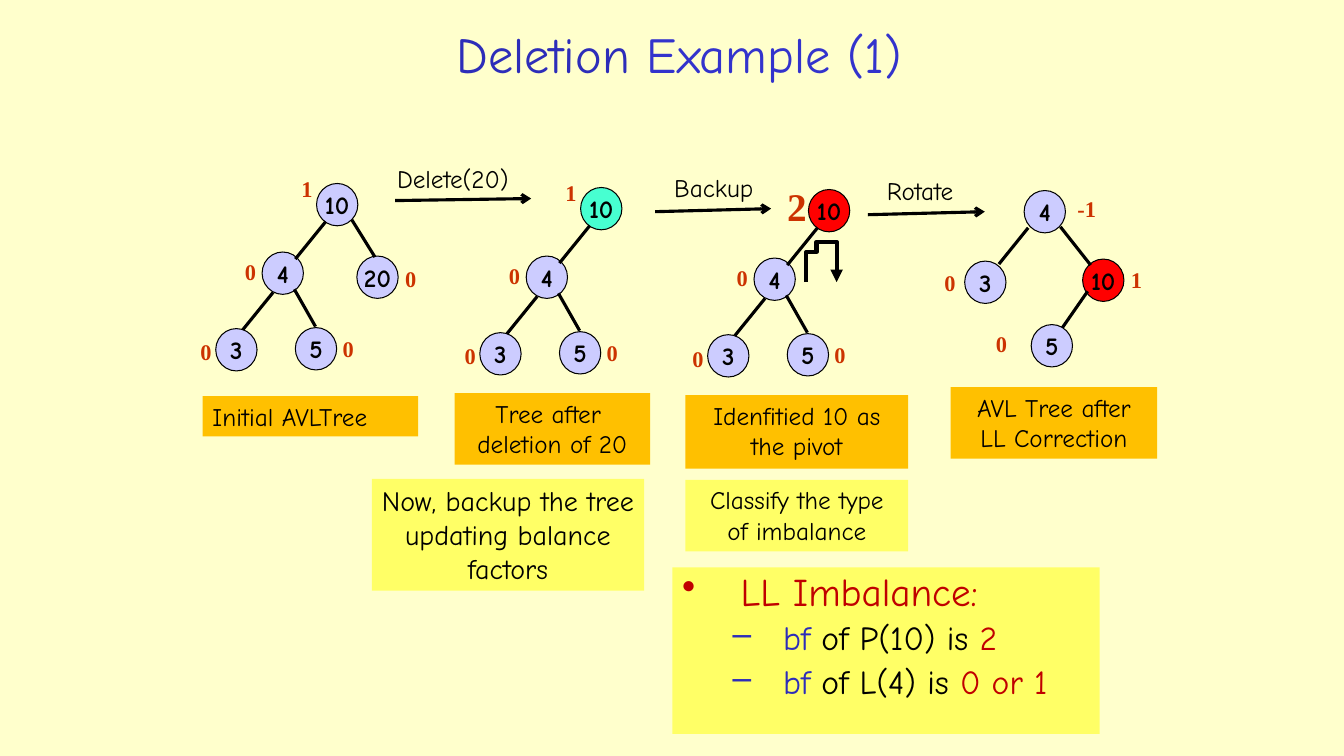
import dataclasses
import typing

import lxml.etree
import pptx
import pptx.dml.color
import pptx.enum.shapes
import pptx.enum.text
import pptx.oxml.ns
import pptx.util

Point = tuple[float, float]
Box = tuple[float, float, float, float]
Run = tuple[str, str]
SHAPE = pptx.enum.shapes.MSO_SHAPE
ALIGN = pptx.enum.text.PP_ALIGN
ANCHOR = pptx.enum.text.MSO_ANCHOR
CELL = 0.1
NODE = (4.1, 4.2)


@dataclasses.dataclass(frozen=True)
class Theme:
    back: str = "FFFFCC"
    ink: str = "000000"
    blue: str = "2D2DB9"
    title: str = "3333CC"
    red: str = "C00000"
    mark: str = "CC3300"
    node: str = "CCCCFF"
    fresh: str = "47FFD1"
    pivot: str = "FF0000"
    gold: str = "FFC000"
    lemon: str = "FFFF66"
    font: str = "Comic Neue"
    serif: str = "Times New Roman"
    head: int = 36
    large: int = 28
    mid: int = 24
    note: int = 20
    body: int = 18
    small: int = 16


THEME = Theme()


class Node(typing.NamedTuple):
    text: str
    at: Point
    fill: str = THEME.node


class Mark(typing.NamedTuple):
    text: str
    at: Point
    size: int = THEME.small


class Edge(typing.NamedTuple):
    start: Point
    end: Point


@dataclasses.dataclass(frozen=True)
class Tree:
    root: Point
    nodes: list[Node]
    edges: list[Edge]
    marks: list[Mark]


@dataclasses.dataclass(frozen=True)
class Step:
    text: str
    box: Box
    line: Edge


@dataclasses.dataclass(frozen=True)
class Note:
    lines: list[str]
    box: Box
    fill: str
    size: int = THEME.body
    align: ALIGN = ALIGN.CENTER


LEFT_NODES = [Node("4", (-5.4, 6.8)), Node("3", (-10, 14.4)), Node("5", (-2.1, 14.3))]
LEFT_EDGES = [Edge((0.9, 3.8), (-2.1, 7.5)), Edge((-4.3, 10.8), (-7.3, 14.5)),
              Edge((-2.2, 10.5), (-0.1, 14.2))]
LEFT_MARKS = [Mark("0", (-8.1, 6.9)), Mark("0", (-12.5, 14.9)), Mark("0", (1.6, 14.6))]
ROOT_MARK = Mark("1", (-2.5, -1.3))

TREES = [
    Tree((31.4, 18.2), [Node("10", (0, 0)), Node("20", (4, 7.2)), *LEFT_NODES],
         [Edge((3.5, 3.6), (5.8, 7.3)), *LEFT_EDGES],
         [ROOT_MARK, Mark("0", (7.8, 7.6)), *LEFT_MARKS]),
    Tree((57.6, 18.6), [Node("10", (0, 0), THEME.fresh), *LEFT_NODES],
         LEFT_EDGES, [ROOT_MARK, *LEFT_MARKS]),
    Tree((80.2, 18.8), [Node("10", (0, 0), THEME.pivot), *LEFT_NODES],
         LEFT_EDGES, [Mark("2", (-3.1, -1.2), THEME.large), *LEFT_MARKS]),
    Tree((101.6, 18.9),
         [Node("4", (0, 0)), Node("10", (5.8, 6.8), THEME.pivot),
          Node("5", (0.7, 13.3)), Node("3", (-5.9, 7))],
         [Edge((0.4, 3.7), (-2.5, 7.3)), Edge((3.6, 3.6), (6.6, 7.4)),
          Edge((6.3, 10), (3.8, 13.6))],
         [Mark("-1", (4.3, 0)), Mark("1", (9.6, 7)), Mark("0", (-3.8, 13.4)),
          Mark("0", (-8.9, 7.3))]),
]
STEPS = [
    Step("Delete(20)", (38.4, 15.7, 14.8, 4), Edge((39.2, 19.9), (52.7, 19.7))),
    Step("Backup", (65.9, 16.6, 10.4, 4), Edge((65, 21), (76.5, 20.7))),
    Step("Rotate", (87, 16.9, 10.2, 4), Edge((86.1, 21.3), (97.7, 21))),
]
NOTES = [
    Note(["Initial AVLTree"], (20.1, 39.3, 21.4, 4), THEME.gold, align=ALIGN.LEFT),
    Note(["Tree after ", "deletion of 20"], (45.1, 39, 19.4, 7.1), THEME.gold),
    Note(["Idenfitied 10 as the pivot"], (68, 39.2, 22.1, 7.3), THEME.gold),
    Note(["AVL Tree after", "LL Correction"], (94.3, 38.4, 20.5, 7.1), THEME.gold),
    Note(["Classify the type", "of imbalance"], (68, 47.6, 22.1, 7.1), THEME.lemon),
    Note(["Now, backup the tree updating balance factors"],
         (36.9, 47.5, 27, 11.1), THEME.lemon, THEME.note),
]
POINTS: list[tuple[list[Run], int, str, float, float]] = [
    ([("LL Imbalance:", THEME.red)], THEME.large, "•", 0.58, 0.58),
    ([("bf", THEME.blue), (" of P(10) is ", THEME.ink), ("2", THEME.red)], THEME.mid, "–", 1, 0.5),
    ([("bf", THEME.blue), (" of L(4) is ", THEME.ink), ("0 or 1", THEME.red)], THEME.mid, "–", 1, 0.5),
]
TURN = [(80.1, 28.3), (79.9, 27.3), (79.7, 26.3), (80.1, 25.6), (80.5, 24.9),
        (81.8, 24.1), (82.3, 24.1), (82.9, 24.1), (83.3, 25.1), (83.4, 25.8),
        (83.6, 26.4), (83.4, 27.2), (83.3, 28)]


def grid(*cells: float) -> list[int]:
    return [pptx.util.Inches(cell * CELL) for cell in cells]


def tint(code: str) -> pptx.dml.color.RGBColor:
    return pptx.dml.color.RGBColor.from_string(code)


def shift(base: Point, step: Point) -> Point:
    return base[0] + step[0], base[1] + step[1]


def add_runs(para: typing.Any, runs: list[Run], size: int,
             font: str = THEME.font, bold: bool = False) -> None:
    for text, code in runs:
        run = para.add_run()
        run.text = text
        run.font.size = pptx.util.Pt(size)
        run.font.name = font
        run.font.bold = bold
        run.font.color.rgb = tint(code)


def add_form(slide: typing.Any, kind: SHAPE, box: Box, fill: str) -> typing.Any:
    form = slide.shapes.add_shape(kind, *grid(*box))
    form.shadow.inherit = False
    form.fill.solid()
    form.fill.fore_color.rgb = tint(fill)
    form.line.fill.background()
    form.text_frame.word_wrap = True
    form.text_frame.vertical_anchor = ANCHOR.TOP
    return form


def add_text(slide: typing.Any, box: Box, runs: list[Run], size: int) -> typing.Any:
    frame = slide.shapes.add_textbox(*grid(*box)).text_frame
    frame.word_wrap = True
    add_runs(frame.paragraphs[0], runs, size)
    return frame


def set_line(form: typing.Any, width: float, tip: str = "") -> None:
    form.line.color.rgb = tint(THEME.ink)
    form.line.width = pptx.util.Pt(width)
    if tip:
        line = form.element.spPr.find(pptx.oxml.ns.qn("a:ln"))
        lxml.etree.SubElement(line, pptx.oxml.ns.qn("a:tailEnd"), type=tip)


def add_edge(slide: typing.Any, start: Point, end: Point, tip: str = "") -> None:
    kind = pptx.enum.shapes.MSO_CONNECTOR.STRAIGHT
    edge = slide.shapes.add_connector(kind, *grid(*start, *end))
    set_line(edge, 2.25, tip)
    lxml.etree.SubElement(edge.element.spPr, pptx.oxml.ns.qn("a:effectLst"))


def add_tree(slide: typing.Any, tree: Tree) -> None:
    for node in tree.nodes:
        form = add_form(slide, SHAPE.OVAL, (*shift(tree.root, node.at), *NODE), node.fill)
        set_line(form, 0.75)
        form.text_frame.word_wrap = False
        form.text_frame.vertical_anchor = ANCHOR.MIDDLE
        para = form.text_frame.paragraphs[0]
        para.alignment = ALIGN.CENTER
        add_runs(para, [(node.text, THEME.ink)], THEME.body, bold=True)
    for edge in tree.edges:
        add_edge(slide, shift(tree.root, edge.start), shift(tree.root, edge.end))
    for mark in tree.marks:
        wide = 3.9 if len(mark.text) > 1 or mark.size > THEME.small else 3.1
        high = 5.7 if mark.size > THEME.small else 3.7
        box = slide.shapes.add_textbox(*grid(*shift(tree.root, mark.at), wide, high))
        box.text_frame.word_wrap = False
        box.text_frame.auto_size = pptx.enum.text.MSO_AUTO_SIZE.SHAPE_TO_FIT_TEXT
        add_runs(box.text_frame.paragraphs[0], [(mark.text, THEME.mark)], mark.size, THEME.serif, True)


def add_note(slide: typing.Any, note: Note) -> None:
    frame = add_form(slide, SHAPE.RECTANGLE, note.box, note.fill).text_frame
    for i, text in enumerate(note.lines):
        para = frame.add_paragraph() if i else frame.paragraphs[0]
        para.alignment = note.align
        add_runs(para, [(text, THEME.ink)], note.size)


def add_points(slide: typing.Any) -> None:
    frame = add_form(slide, SHAPE.RECTANGLE, (66.7, 56.3, 42.4, 16.5), THEME.lemon).text_frame
    for i, (runs, size, sign, left, hang) in enumerate(POINTS):
        para = frame.add_paragraph() if i else frame.paragraphs[0]
        para.alignment = ALIGN.LEFT
        para.level = min(i, 1)
        para.line_spacing = 0.9
        para.space_before = pptx.util.Pt(5 if i else 0)
        prop = para._p.get_or_add_pPr()
        prop.set("marL", str(pptx.util.Inches(left)))
        prop.set("indent", str(-pptx.util.Inches(hang)))
        lxml.etree.SubElement(prop, pptx.oxml.ns.qn("a:buChar"), char=sign)
        add_runs(para, runs, size)


def bend(knots: list[Point], share: float) -> Point:
    while len(knots) > 1:
        knots = [(a[0] + (b[0] - a[0]) * share, a[1] + (b[1] - a[1]) * share)
                 for a, b in zip(knots, knots[1:])]
    return knots[0]


def add_turn(slide: typing.Any) -> None:
    dots = [bend(TURN[i:i + 4], k / 10) for i in range(0, len(TURN) - 1, 3) for k in range(1, 11)]
    pen = slide.shapes.build_freeform(*TURN[0], scale=pptx.util.Inches(CELL))
    pen.add_line_segments(dots, close=False)
    turn = pen.convert_to_shape()
    turn.shadow.inherit = False
    turn.fill.background()
    set_line(turn, 3, "triangle")


def main() -> None:
    deck = pptx.Presentation()
    deck.slide_width, deck.slide_height = grid(133.33, 75)
    slide = deck.slides.add_slide(deck.slide_layouts[6])
    slide.background.fill.solid()
    slide.background.fill.fore_color.rgb = tint(THEME.back)
    title = add_text(slide, (19.7, 1.5, 95.4, 7.6),
                     [("Deletion ", THEME.blue), ("Example (1)", THEME.title)], THEME.head)
    title.vertical_anchor = ANCHOR.MIDDLE
    title.paragraphs[0].alignment = ALIGN.CENTER
    for tree in TREES:
        add_tree(slide, tree)
    for step in STEPS:
        add_edge(slide, step.line.start, step.line.end, "arrow")
        add_text(slide, step.box, [(step.text, THEME.ink)], THEME.body)
    for note in NOTES:
        add_note(slide, note)
    add_points(slide)
    add_turn(slide)
    deck.save("out.pptx")


if __name__ == "__main__":
    main()
